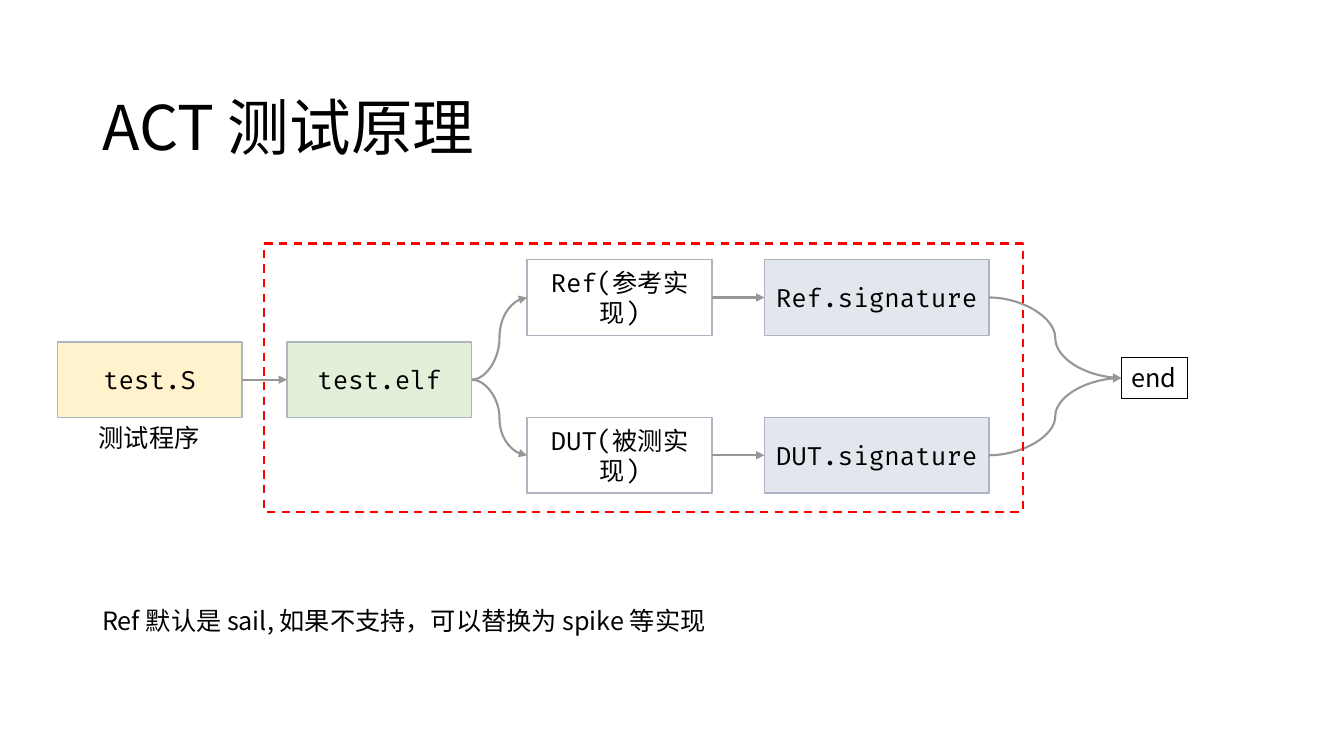
from lxml.etree import SubElement
from pptx import Presentation
from pptx.dml.color import RGBColor
from pptx.enum.dml import MSO_LINE_DASH_STYLE as Dash
from pptx.enum.shapes import MSO_CONNECTOR as Link, MSO_SHAPE as Shape
from pptx.enum.text import MSO_ANCHOR as Anchor, PP_ALIGN as Align
from pptx.oxml.ns import qn
from pptx.util import Pt

BLACK = RGBColor(0x00, 0x00, 0x00)
RED = RGBColor(0xFF, 0x00, 0x00)
CREAM = RGBColor(0xFF, 0xF2, 0xCC)
GREEN = RGBColor(0xE2, 0xF0, 0xD9)
MIST = RGBColor(0xE2, 0xE6, 0xED)
BORDER = RGBColor(0xAE, 0xB5, 0xC0)
ARROW = RGBColor(0x97, 0x97, 0x97)

CODE = "Fira Code"
SANS = "Noto Sans CJK SC"
LEFT_SITE, RIGHT_SITE = 1, 3
STEP_HEIGHT = 54
TOP_ROW, MIDDLE_ROW, BOTTOM_ROW = 185.5, 244.2, 298.2


def apply_format(target, values):
    """Set each named attribute of the target."""
    for name, value in values.items():
        setattr(target, name, value)


def write_text(shape, text, font=SANS, size=18, align=Align.LEFT,
               anchor=Anchor.TOP, wrap=True, spacing=1.0):
    """Write one formatted paragraph into a shape."""
    frame = shape.text_frame
    apply_format(frame, {"word_wrap": wrap, "vertical_anchor": anchor})
    para = frame.paragraphs[0]
    apply_format(para, {"alignment": align, "line_spacing": spacing})
    span = para.add_run()
    span.text = text
    apply_format(span.font, {"name": font, "size": Pt(size)})
    span.font.color.rgb = BLACK
    SubElement(span.font._element, qn("a:ea"), typeface=SANS)


def add_label(page, bounds, text, **style):
    """Add a text box."""
    label = page.shapes.add_textbox(*map(Pt, bounds))
    write_text(label, text, **style)


def add_box(page, bounds, line, weight, fill=None, dash=None):
    """Add an outlined rectangle, unfilled unless a fill is given."""
    box = page.shapes.add_shape(Shape.RECTANGLE, *map(Pt, bounds))
    box.shadow.inherit = False
    if fill is None:
        box.fill.background()
    else:
        box.fill.solid()
        box.fill.fore_color.rgb = fill
    box.line.color.rgb = line
    apply_format(box.line, {"width": Pt(weight), "dash_style": dash})
    return box


def add_step(page, left, top, width, text, fill=None):
    """Add one centred step of the test flow."""
    step = add_box(page, (left, top, width, STEP_HEIGHT), BORDER, 1, fill)
    write_text(step, text, font=CODE, align=Align.CENTER, anchor=Anchor.MIDDLE)
    return step


def add_arrow(page, source, target, kind=Link.STRAIGHT):
    """Join the right side of one box to the left side of another."""
    arrow = page.shapes.add_connector(kind, 0, 0, 0, 0)
    arrow.begin_connect(source, RIGHT_SITE)
    arrow.end_connect(target, LEFT_SITE)
    arrow.line.color.rgb = ARROW
    arrow.line.width = Pt(1.5)
    SubElement(arrow.line._get_or_add_ln(), qn("a:tailEnd"), type="triangle")
    SubElement(arrow._element.spPr, qn("a:effectLst"))


def main():
    """Build the test flow slide."""
    deck = Presentation()
    apply_format(deck, {"slide_width": Pt(960), "slide_height": Pt(540)})
    page = deck.slides.add_slide(deck.slide_layouts[6])

    add_label(page, (66, 41, 828, 104.4), "ACT 测试原理", size=44,
              anchor=Anchor.MIDDLE, spacing=0.9)
    program = add_step(page, 41, MIDDLE_ROW, 132, "test.S", CREAM)
    add_label(page, (63.4, 298.2, 86.4, 29), "测试程序", font=CODE, wrap=False)
    binary = add_step(page, 205, MIDDLE_ROW, 132, "test.elf", GREEN)
    end = add_box(page, (801, 255.5, 47, 29), BLACK, 0.75)
    write_text(end, "end", wrap=False)

    add_arrow(page, program, binary)
    branches = (("Ref", "参考实现", TOP_ROW), ("DUT", "被测实现", BOTTOM_ROW))
    for name, meaning, top in branches:
        model = add_step(page, 376.5, top, 132, f"{name}({meaning})")
        signature = add_step(page, 546, top, 160.5, f"{name}.signature", MIST)
        add_arrow(page, binary, model, Link.CURVE)
        add_arrow(page, model, signature)
        add_arrow(page, signature, end, Link.CURVE)

    add_box(page, (188.5, 174, 542, 191.5), RED, 1.5, dash=Dash.DASH)
    add_label(page, (66, 429, 456.5, 29),
              "Ref 默认是 sail, 如果不支持，可以替换为 spike 等实现")
    deck.save("out.pptx")


if __name__ == "__main__":
    main()
